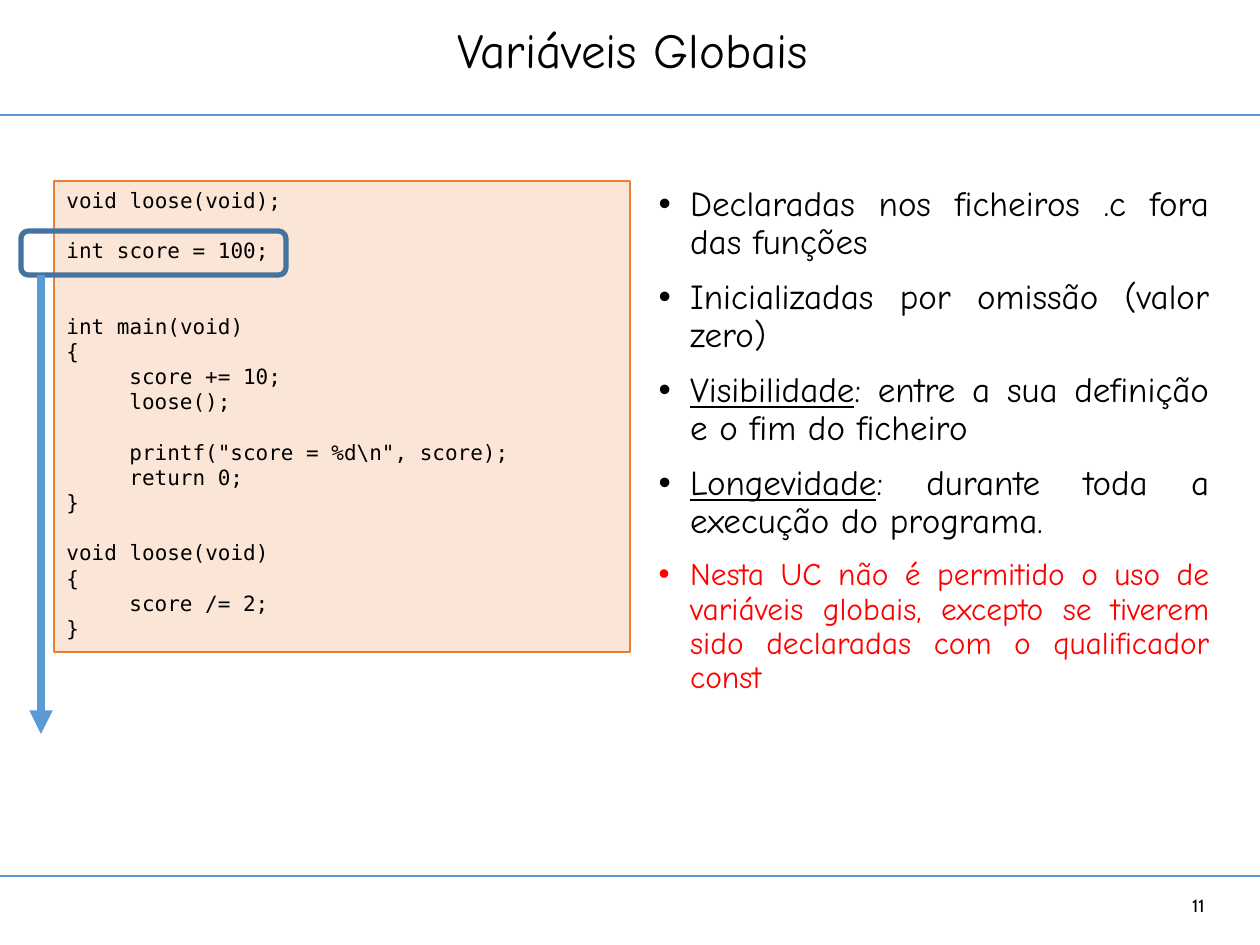
from lxml.etree import SubElement
from pptx import Presentation
from pptx.dml.color import RGBColor
from pptx.enum.shapes import MSO_CONNECTOR, MSO_SHAPE
from pptx.enum.text import MSO_ANCHOR, MSO_AUTO_SIZE, PP_ALIGN
from pptx.oxml.ns import qn
from pptx.util import Pt

PX = 914400 / 126
W, H = 1260, 945
BLACK = RGBColor(0, 0, 0)
RED = RGBColor(0xFF, 0, 0)
BLUE = RGBColor(0x5B, 0x9B, 0xD5)
DARK_BLUE = RGBColor(0x43, 0x73, 0x9E)
ORANGE = RGBColor(0xED, 0x7D, 0x31)
PEACH = RGBColor(0xFB, 0xE5, 0xD6)
TEXT_FONT, CODE_FONT, NUMBER_FONT = "Comic Neue", "DejaVu Sans Mono", "Cabin"

CODE = r"""void loose(void);

int score = 100;


int main(void)
{
	score += 10;
	loose();

	printf("score = %d\n", score);
	return 0;
}

void loose(void)
{
	score /= 2;
}"""

BULLETS = [
    ("", "Declaradas nos ficheiros .c fora das funções", 20, BLACK),
    ("", "Inicializadas por omissão (valor zero)", 20, BLACK),
    ("Visibilidade", ": entre a sua definição e o fim do ficheiro", 20, BLACK),
    ("Longevidade", ": durante toda a execução do programa.", 20, BLACK),
    ("", "Nesta UC não é permitido o uso de variáveis globais, excepto se "
         "tiverem sido declaradas com o qualificador const", 18, RED),
]


def emu(*lengths):
    """Turn px lengths into EMU."""
    return [round(n * PX) for n in lengths]


def place(sp, box):
    """Move a shape to a px box."""
    sp.left, sp.top, sp.width, sp.height = emu(*box)


def style(r, font, size, color):
    """Set the font of a run."""
    r.font.name, r.font.size = font, Pt(size)
    r.font.color.rgb = color


def add_line(s, x1, y1, x2, y2, width):
    """Add a straight blue line without shadow."""
    line = s.shapes.add_connector(MSO_CONNECTOR.STRAIGHT, *emu(x1, y1, x2, y2))
    line.line.color.rgb, line.line.width = BLUE, Pt(width)
    SubElement(line._element.spPr, qn("a:effectLst"))
    return line


def add_box(s, kind, box, color, width):
    """Add an outlined shape without fill or shadow."""
    sp = s.shapes.add_shape(kind, *emu(*box))
    sp.shadow.inherit = False
    sp.fill.background()
    sp.line.color.rgb, sp.line.width = color, Pt(width)
    return sp


def add_frame(s, box, title, number):
    """Fill the title, the two rules and the page number."""
    x, y, w, h = box
    for rule_y in (y + 115, y + h - 69):
        add_line(s, x, rule_y, x + w, rule_y, 1.25)
    place(s.shapes.title, (x + 43, y, w - 81, 106))
    tf = s.shapes.title.text_frame
    tf.text, tf.vertical_anchor = title, MSO_ANCHOR.MIDDLE
    tf.auto_size = MSO_AUTO_SIZE.NONE
    p = tf.paragraphs[0]
    p.alignment, p.line_spacing = PP_ALIGN.CENTER, 0.9
    style(p.runs[0], TEXT_FONT, 28, BLACK)

    tb = s.shapes.add_textbox(*emu(x + w - 144, y + h - 55, 101, 30))
    tf = tb.text_frame
    tf.text, tf.word_wrap, tf.vertical_anchor = number, True, MSO_ANCHOR.MIDDLE
    tf.paragraphs[0].alignment = PP_ALIGN.RIGHT
    style(tf.paragraphs[0].runs[0], NUMBER_FONT, 10, BLACK)


def add_code(s, box):
    """Add the listing with its marked declaration and scope arrow."""
    x, y, w, h = box
    sp = add_box(s, MSO_SHAPE.RECTANGLE, box, ORANGE, 0.75)
    sp.fill.solid()
    sp.fill.fore_color.rgb = PEACH
    tf = sp.text_frame
    tf.text, tf.vertical_anchor = CODE, MSO_ANCHOR.TOP
    for p in tf.paragraphs:
        p.alignment = PP_ALIGN.LEFT
        for r in p.runs:
            style(r, CODE_FONT, 12, BLACK)
        end = SubElement(p._p, qn("a:endParaRPr"), sz="1200")
        SubElement(end, qn("a:latin"), typeface=CODE_FONT)

    add_box(s, MSO_SHAPE.ROUNDED_RECTANGLE, (x - 33, y + 50, 265, 44), DARK_BLUE, 3)
    arrow = add_line(s, x - 13, y + 94, x - 13, y + h + 82, 4.5)
    SubElement(arrow.line._get_or_add_ln(), qn("a:tailEnd"), type="triangle")


def add_bullets(s, box):
    """Fill the body placeholder with the justified list."""
    body = s.placeholders[1]
    place(body, box)
    tf = body.text_frame
    tf.auto_size = MSO_AUTO_SIZE.NONE
    for i, (term, text, size, color) in enumerate(BULLETS):
        p = tf.add_paragraph() if i else tf.paragraphs[0]
        p.alignment, p.line_spacing = PP_ALIGN.JUSTIFY, 0.9
        p.space_before = Pt(10 if i else 0)
        pPr = p._p.get_or_add_pPr()
        pPr.set("marL", "228600")
        pPr.set("indent", "-228600")
        SubElement(pPr, qn("a:buChar"), char="•")
        for part in filter(None, (term, text)):
            r = p.add_run()
            r.text = part
            style(r, TEXT_FONT, size, color)
            r.font.underline = part == term


def main():
    """Build and save the slide."""
    prs = Presentation()
    prs.slide_width, prs.slide_height = emu(W, H)
    s = prs.slides.add_slide(prs.slide_layouts[1])
    add_frame(s, (0, 0, W, H), "Variáveis Globais", "11")
    add_code(s, (54, 181, 576, 471))
    add_bullets(s, (646, 180, 576, 523))
    prs.save("out.pptx")


if __name__ == "__main__":
    main()
